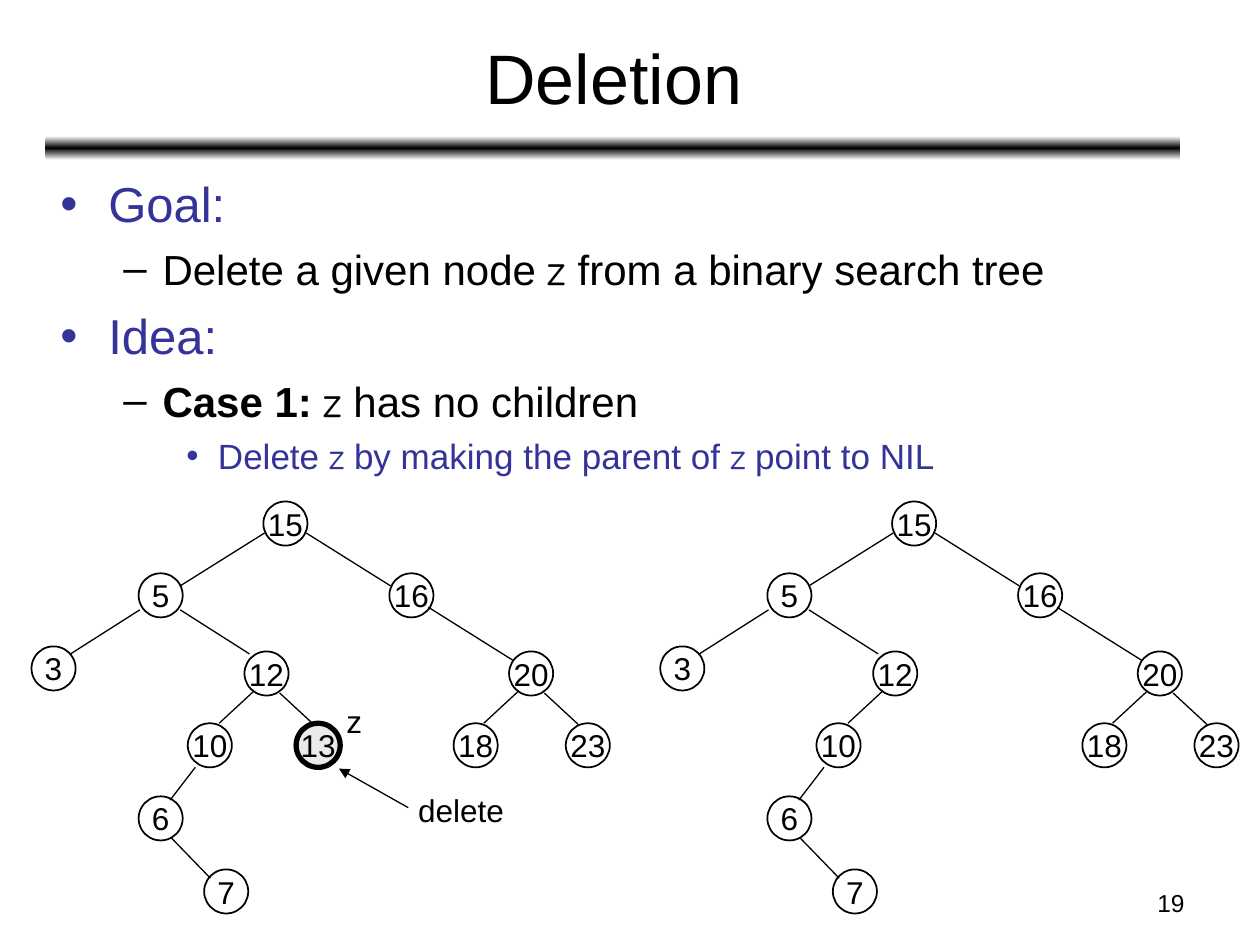
from copy import deepcopy

from lxml import etree
from pptx import Presentation
from pptx.dml.color import RGBColor
from pptx.enum.shapes import MSO_CONNECTOR, MSO_SHAPE
from pptx.enum.text import MSO_ANCHOR, MSO_AUTO_SIZE, PP_ALIGN
from pptx.oxml.ns import qn
from pptx.util import Inches, Pt

STRAIGHT = MSO_CONNECTOR.STRAIGHT
OVAL = MSO_SHAPE.OVAL
ROUNDED = MSO_SHAPE.ROUNDED_RECTANGLE
MIDDLE = MSO_ANCHOR.MIDDLE
NO_FIT = MSO_AUTO_SIZE.NONE
LEFT, CENTER, RIGHT = PP_ALIGN.LEFT, PP_ALIGN.CENTER, PP_ALIGN.RIGHT

BLACK, WHITE, BLUE, GRAY = "000000", "FFFFFF", "333399", "EAEAEA"
SANS, COMIC = "Arial", "Comic Neue"
NODE_SIZE = 0.35
TREE_SHIFT = 4.99
DELETED = 13

LEVELS = [
    (28, BLUE, "•", 0.38, 0.38, 7),
    (24, BLACK, "–", 0.81, 0.31, 6),
    (20, BLUE, "•", 1.25, 0.25, 5),
]

OUTLINE = [
    (0, ["Goal:"]),
    (1, ["Delete a given node ", "z", " from a binary search tree"]),
    (0, ["Idea:"]),
    (1, ["Case 1: ", "z", " has no children"]),
    (2, ["Delete ", "z", " by making the parent of ", "z", " point to NIL"]),
]

NODES = {
    15: (2.09, 3.98), 16: (3.09, 4.55), 20: (4.04, 5.17),
    18: (3.6, 5.74), 23: (4.49, 5.74), 6: (1.1, 6.32),
    5: (1.1, 4.55), 12: (1.94, 5.17), 3: (0.25, 5.13),
    7: (1.62, 6.9), 10: (1.49, 5.74), 13: (2.35, 5.74),
}

EDGES = {
    (15, 5): (2.1, 4.23, 1.43, 4.65),
    (15, 16): (2.43, 4.23, 3.1, 4.65),
    (16, 20): (3.4, 4.82, 4.07, 5.24),
    (20, 18): (4.11, 5.49, 3.84, 5.74),
    (20, 23): (4.32, 5.5, 4.59, 5.75),
    (5, 3): (1.11, 4.84, 0.56, 5.19),
    (5, 12): (1.43, 4.84, 1.98, 5.19),
    (12, 10): (2.01, 5.49, 1.74, 5.74),
    (12, 13): (2.22, 5.5, 2.49, 5.75),
    (10, 6): (1.55, 6.09, 1.35, 6.35),
    (6, 7): (1.36, 6.65, 1.67, 6.97),
}


def rgb(color):
    return RGBColor.from_string(color)


def set_font(font, size, color):
    font.name = SANS
    font.size = Pt(size)
    font.color.rgb = rgb(color)


class SlideBuilder:
    def __init__(self, slide):
        self.slide = slide
        self.shapes = slide.shapes

    def place(self, shape, left, top, width, height):
        shape.left, shape.top = Inches(left), Inches(top)
        shape.width, shape.height = Inches(width), Inches(height)

    def title(self, text, *box):
        heading = self.slide.shapes.title
        self.place(heading, *box)
        heading.text_frame.text = text
        heading.text_frame.vertical_anchor = MIDDLE
        paragraph = heading.text_frame.paragraphs[0]
        paragraph.alignment = CENTER
        set_font(paragraph.font, 40, BLACK)

    def rule(self, *box):
        bar = self.shapes.add_shape(ROUNDED, *map(Inches, box))
        bar.shadow.inherit = False
        bar.line.fill.background()
        bar.fill.gradient()
        bar.fill.gradient_angle = 270
        stop_list = bar.element.spPr.find(qn("a:gradFill")).find(qn("a:gsLst"))
        stop_list.append(deepcopy(stop_list[0]))
        for index, color in enumerate((WHITE, BLACK, WHITE)):
            stop = bar.fill.gradient_stops[index]
            stop.position = index / 2
            stop.color.rgb = rgb(color)

    def outline(self, items, *box):
        body = self.slide.placeholders[1]
        self.place(body, *box)
        frame = body.text_frame
        frame.auto_size = NO_FIT
        for index, (level, texts) in enumerate(items):
            paragraph = frame.add_paragraph() if index else frame.paragraphs[0]
            self.bullet(paragraph, level)
            for text in texts:
                run = paragraph.add_run()
                run.text = text
                run.font.name = COMIC if text == "z" else SANS
                if text.startswith("Case"):
                    run.font.bold = True

    def bullet(self, paragraph, level):
        size, color, mark, margin, hanging, before = LEVELS[level]
        paragraph.level = level
        paragraph.space_before = Pt(before)
        properties = paragraph._p.get_or_add_pPr()
        properties.set("marL", str(Inches(margin)))
        properties.set("indent", str(-Inches(hanging)))
        bullet_color = etree.SubElement(properties, qn("a:buClr"))
        etree.SubElement(bullet_color, qn("a:srgbClr"), val=color)
        etree.SubElement(properties, qn("a:buFont"), typeface=SANS)
        etree.SubElement(properties, qn("a:buChar"), char=mark)
        set_font(paragraph.font, size, color)

    def label(self, text, *box, size=18, align=LEFT, wrap=False):
        caption = self.shapes.add_textbox(*map(Inches, box))
        caption.text_frame.word_wrap = wrap
        caption.text_frame.text = text
        paragraph = caption.text_frame.paragraphs[0]
        paragraph.alignment = align
        set_font(paragraph.font, size, BLACK)

    def node(self, key, left, top, marked):
        circle = self.shapes.add_shape(
            OVAL, *map(Inches, (left, top, NODE_SIZE, NODE_SIZE)))
        circle.shadow.inherit = False
        circle.fill.solid()
        circle.fill.fore_color.rgb = rgb(GRAY if marked else WHITE)
        circle.line.color.rgb = rgb(BLACK)
        circle.line.width = Pt(3 if marked else 1)
        frame = circle.text_frame
        frame.word_wrap = False
        frame.vertical_anchor = MIDDLE
        frame.text = str(key)
        frame.paragraphs[0].alignment = CENTER
        set_font(frame.paragraphs[0].font, 18, BLACK)

    def edge(self, *ends, arrow=False):
        link = self.shapes.add_connector(STRAIGHT, *map(Inches, ends))
        link.line.color.rgb = rgb(BLACK)
        link.line.width = Pt(0.75)
        properties = link.element.spPr
        if arrow:
            etree.SubElement(properties.find(qn("a:ln")), qn("a:tailEnd"), type="triangle")
        etree.SubElement(properties, qn("a:effectLst"))

    def tree(self, shift, with_deleted):
        self.shapes = self.slide.shapes.add_group_shape().shapes
        for key, (left, top) in NODES.items():
            if with_deleted or key != DELETED:
                self.node(key, left + shift, top, key == DELETED)
        for (_, child), (x1, y1, x2, y2) in EDGES.items():
            if with_deleted or child != DELETED:
                self.edge(x1 + shift, y1, x2 + shift, y2)
        if with_deleted:
            self.label("delete", 3.22, 6.23, 0.88, 0.4)
            self.edge(3.24, 6.41, 2.69, 6.1, arrow=True)
        self.shapes = self.slide.shapes


def main():
    deck = Presentation()
    deck.slide_width, deck.slide_height = Inches(10), Inches(7.5)
    builder = SlideBuilder(deck.slides.add_slide(deck.slide_layouts[1]))
    builder.rule(0.36, 1.08, 9.01, 0.19)
    builder.label("19", 7.17, 7, 2.33, 0.35, size=14, align=RIGHT, wrap=True)
    builder.title("Deletion", 0.37, 0.11, 9, 0.99)
    builder.outline(OUTLINE, 0.38, 1.33, 9.13, 2.52)
    builder.tree(0, with_deleted=True)
    builder.tree(TREE_SHIFT, with_deleted=False)
    builder.label("z", 2.65, 5.52, 0.32, 0.4)
    deck.save("out.pptx")


if __name__ == "__main__":
    main()
